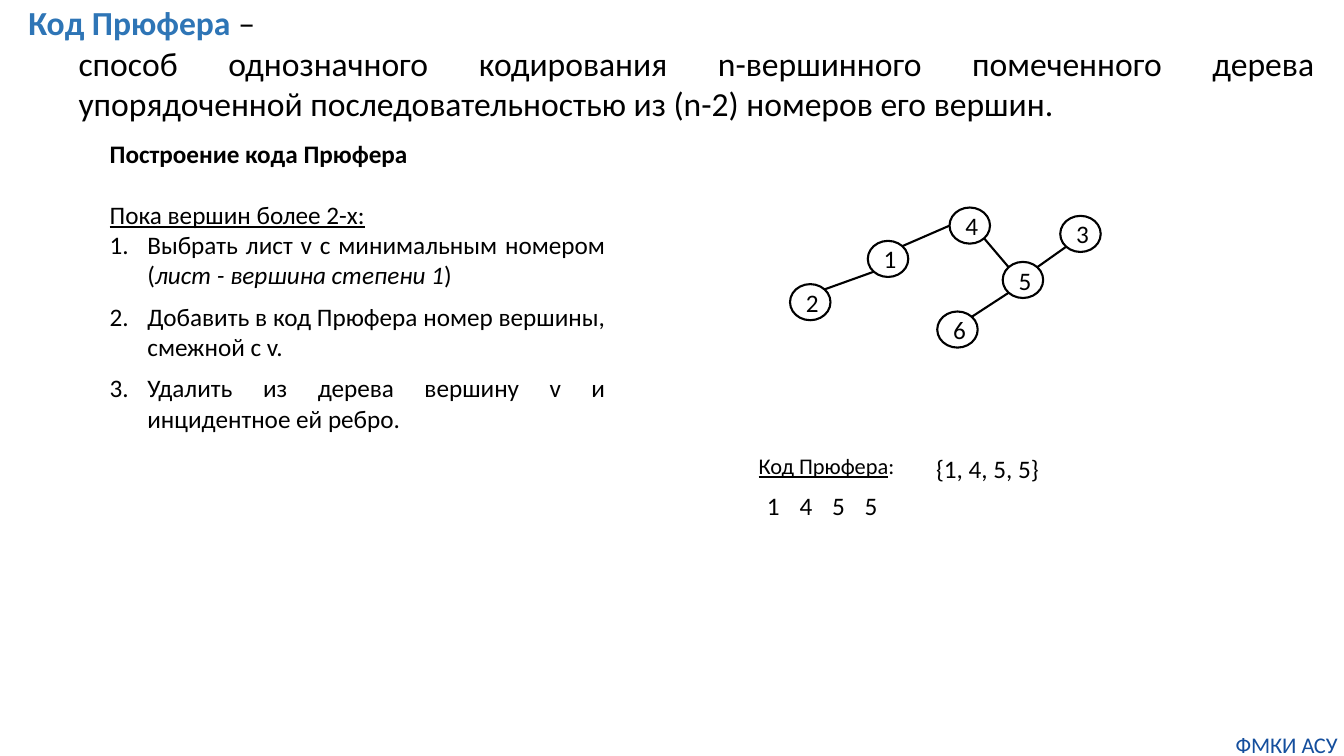
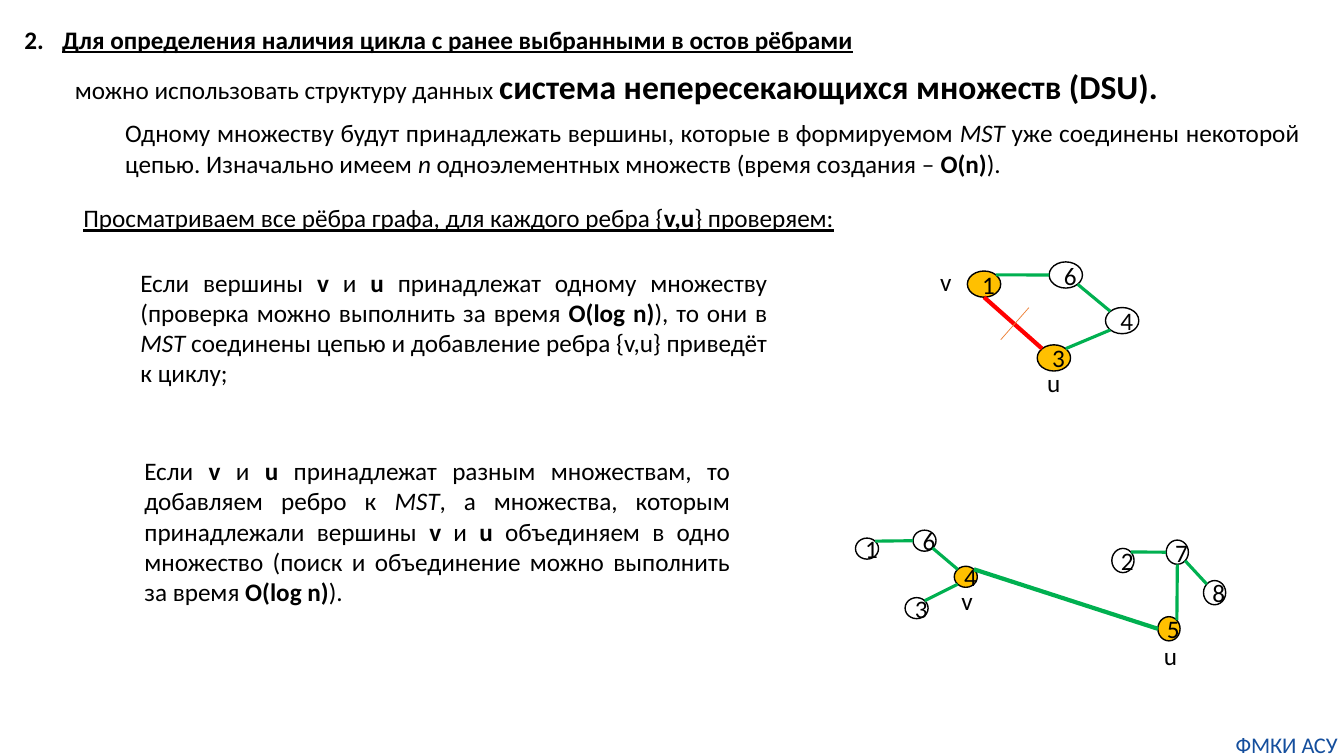
from lxml.etree import SubElement
from pptx import Presentation
from pptx.dml.color import RGBColor
from pptx.enum.shapes import MSO_CONNECTOR as Connector, MSO_SHAPE as Shape
from pptx.enum.text import MSO_ANCHOR as Anchor, MSO_AUTO_SIZE as AutoSize, PP_ALIGN as Align
from pptx.oxml.ns import qn
from pptx.util import Cm, Pt

FONT = "Calibri"
BLACK, BLUE, NAVY = "000000", "2E75B6", "144E9D"
GREEN, RED, AMBER, ORANGE = "00B050", "FF0000", "FFC000", "ED7D31"
HANGING = 0.95
STYLES = {"b": "bold", "i": "italic", "u": "underline"}
DIRECTIONS = {
    "w": (-1, 0), "s": (0, 1),
    "nw": (-0.71, -0.71), "ne": (0.71, -0.71),
    "sw": (-0.71, 0.71), "se": (0.71, 0.71),
}


def colour(value):
    return RGBColor.from_string(value)


def set_attributes(target, values):
    for name, value in values.items():
        setattr(target, name, value)


def add_runs(paragraph, runs, size, color):
    for text, style, *changes in runs:
        run = paragraph.add_run()
        run.text = text
        values = {"name": FONT, "size": Pt(size)}
        values.update({name: key in style for key, name in STYLES.items()})
        if changes:
            values.update(changes[0])
        set_attributes(run.font, values)
        run.font.color.rgb = colour(color)


def format_paragraph(paragraph, align, after, left, number):
    set_attributes(paragraph, {
        "alignment": align, "space_before": Pt(0), "space_after": Pt(after), "line_spacing": 1.0,
    })
    properties = paragraph._p.get_or_add_pPr()
    properties.set("marL", str(Cm(HANGING if number else left)))
    properties.set("indent", str(Cm(-HANGING if number else 0)))
    if number:
        bullet = SubElement(properties, qn("a:buAutoNum"), type="arabicPeriod")
        if number > 1:
            bullet.set("startAt", str(number))
    else:
        SubElement(properties, qn("a:buNone"))


def write(shape, paragraphs, size=18, color=BLACK, align=Align.JUSTIFY):
    frame = shape.text_frame
    set_attributes(frame, {
        "word_wrap": True, "auto_size": AutoSize.NONE, "vertical_anchor": Anchor.TOP,
    })
    for index, (runs, layout) in enumerate(paragraphs):
        paragraph = frame.add_paragraph() if index else frame.paragraphs[0]
        format_paragraph(paragraph, layout.get("align", align), layout.get("after", 0),
                         layout.get("left", 0), layout.get("number", 0))
        add_runs(paragraph, runs, size, color)


def place(shape, box):
    set_attributes(shape, dict(zip(("left", "top", "width", "height"), map(Cm, box))))
    return shape


def add_text(slide, box, runs, size=18, color=BLACK, align=Align.LEFT, **layout):
    shape = slide.shapes.add_textbox(*map(Cm, box))
    write(shape, [(runs, layout)], size, color, align)
    return shape


def add_footer(slide):
    footer = add_text(slide, (30.99, 18.42, 2.87, 0.69), [("ФМКИ АСУ", "")], 16, NAVY, Align.CENTER)
    sides = ("margin_left", "margin_top", "margin_right", "margin_bottom")
    set_attributes(footer.text_frame, dict.fromkeys(sides, 0))


def add_line(slide, start, end, color, width):
    line = slide.shapes.add_connector(Connector.STRAIGHT, *start, *end)
    line.line.color.rgb = colour(color)
    line.line.width = Pt(width)
    SubElement(line._element.spPr, qn("a:effectLst"))


def add_node(slide, box, label, width, fill):
    node = slide.shapes.add_shape(Shape.OVAL, *map(Cm, box))
    node.shadow.inherit = False
    if fill:
        node.fill.solid()
        node.fill.fore_color.rgb = colour(fill)
    else:
        node.fill.background()
    node.line.color.rgb = colour(BLACK)
    node.line.width = Pt(width)
    paragraph = node.text_frame.paragraphs[0]
    paragraph.alignment = Align.CENTER
    add_runs(paragraph, [(label, "")], 18, BLACK)
    return node


def rim_point(node, direction):
    across, down = DIRECTIONS[direction]
    return (int(node.left + node.width * (1 + across) / 2),
            int(node.top + node.height * (1 + down) / 2))


def add_edge(slide, first, first_side, second, second_side, color, width):
    add_line(slide, rim_point(first, first_side), rim_point(second, second_side), color, width)


def add_graph(slide, size, positions, edges, marked="", outline=1, color=GREEN, width=2.25):
    nodes = {
        label: add_node(slide, (*position, *size), label, outline, AMBER if label in marked else None)
        for label, position in positions.items()
    }
    for first, first_side, second, second_side in edges:
        add_edge(slide, nodes[first], first_side, nodes[second], second_side, color, width)
    return nodes


def start_slide(presentation, title_box, title, body_box, body):
    slide = presentation.slides.add_slide(presentation.slide_layouts[1])
    write(place(slide.shapes.title, title_box), [title])
    write(place(slide.placeholders[1], body_box), body)
    add_footer(slide)
    return slide


def build_prufer_slide(presentation):
    large = {"size": Pt(24)}
    step = {"number": 1, "after": 8}
    slide = start_slide(
        presentation,
        (0.46, -0.08, 32.92, 1.1),
        ([("Код Прюфера ", "b", large), ("–", "", large)], {}),
        (2.51, 3.35, 13, 7.75),
        [
            ([("Построение кода Прюфера", "b")], {"align": Align.LEFT, "after": 22}),
            ([("Пока вершин более 2-х:", "u")], {}),
            ([("Выбрать лист v с минимальным номером (", ""),
              ("лист - вершина степени 1", "i"), (")", "")], step),
            ([("Добавить в код Прюфера номер вершины, смежной с v.", "")], step),
            ([("Удалить из дерева вершину v и инцидентное ей ребро.", "")], step),
        ],
    )
    slide.shapes.title.text_frame.paragraphs[0].runs[0].font.color.rgb = colour(BLUE)
    add_text(slide, (1.73, 0.95, 31.65, 2.3), [
        ("способ однозначного кодирования n-вершинного помеченного дерева "
         "упорядоченной последовательностью из (n-2) номеров его вершин.", ""),
    ], 24, align=Align.JUSTIFY)
    add_graph(
        slide, (1.02, 0.91),
        {"4": (23.93, 5.23), "5": (25.27, 6.6), "3": (26.72, 5.44),
         "6": (23.62, 7.85), "2": (19.91, 7.16), "1": (21.87, 6.07)},
        [("1", "sw", "2", "ne"), ("4", "se", "5", "nw"), ("5", "sw", "6", "ne"),
         ("5", "ne", "3", "sw"), ("1", "ne", "4", "w")],
        outline=1.5, color=BLACK, width=1.5,
    )
    add_text(slide, (18.87, 11.28, 4.3, 0.94), [("Код Прюфера", "u"), (":", "")], 16)
    for index, digit in enumerate("1455"):
        add_text(slide, (19.08 + 0.82 * index, 12.22, 0.84, 1.02), [(digit, "")])
    add_text(slide, (23.34, 11.3, 3.15, 1.02), [("{1, 4, 5, 5}", "")])


def build_cycle_slide(presentation):
    slide = start_slide(
        presentation,
        (0.36, 0.48, 32.64, 1.06),
        ([("Для определения наличия цикла с ранее выбранными в остов рёбрами", "bu")], {"number": 2}),
        (0.36, 1.54, 32.64, 3.1),
        [
            ([("можно использовать структуру данных ", ""),
              ("система непересекающихся множеств (DSU).", "b", {"size": Pt(24)})],
             {"left": 1.27, "after": 8}),
            ([("Одному множеству будут принадлежать вершины, которые в формируемом ", ""),
              ("MST ", "i"), ("уже соединены некоторой цепью. Изначально имеем ", ""), ("n", "i"),
              (" одноэлементных множеств (время создания – ", ""), ("O(n)", "b"), (").", "")],
             {"left": 2.54, "after": 8}),
        ],
    )
    add_text(slide, (1.85, 4.98, 19.69, 1.02), [
        ("Просматриваем все рёбра графа, для каждого ребра {", "u"), ("v,u", "bu"),
        ("} проверяем:", "u"),
    ])
    add_text(slide, (2.34, 6.6, 17.25, 3.33), [
        ("Если вершины ", ""), ("v", "b"), (" и ", ""), ("u ", "b"),
        ("принадлежат одному множеству (проверка можно выполнить за время ", ""),
        ("O(log n)", "b"), ("), то они в ", ""), ("MST ", "i"),
        ("соединены цепью и добавление ребра {v,u} приведёт к циклу;", ""),
    ], align=Align.JUSTIFY, left=HANGING)
    add_text(slide, (2.44, 11.35, 16.21, 4.11), [
        ("Если ", ""), ("v", "b"), (" и ", ""), ("u ", "b"),
        ("принадлежат разным множествам, то добавляем ребро к ", ""), ("MST", "i"),
        (", а множества, которым принадлежали вершины ", ""), ("v", "b"), (" и ", ""), ("u ", "b"),
        ("объединяем в одно множество (поиск и объединение можно выполнить за время ", ""),
        ("O(log n)", "b"), (").", ""),
    ], align=Align.JUSTIFY, left=HANGING)

    chain = [("1", "ne", "6", "w"), ("6", "se", "4", "nw"), ("4", "sw", "3", "ne")]
    cycle = add_graph(
        slide, (0.84, 0.66),
        {"1": (24.38, 6.83), "6": (26.44, 6.6), "4": (27.86, 7.75), "3": (26.14, 8.69)},
        chain, marked="13",
    )
    add_edge(slide, cycle["1"], "s", cycle["3"], "nw", RED, 3)
    add_line(slide, (Cm(25.93), Cm(7.75)), (Cm(25.22), Cm(8.56)), ORANGE, 0.5)

    left_tree = add_graph(
        slide, (0.58, 0.53),
        {"1": (21.56, 13.56), "6": (23.01, 13.36), "4": (24.05, 14.27), "3": (22.81, 15.06)},
        chain, marked="4",
    )
    right_tree = add_graph(
        slide, (0.56, 0.61),
        {"2": (28.02, 13.82), "7": (29.39, 13.61), "8": (30.33, 14.63), "5": (29.18, 15.54)},
        [("2", "ne", "7", "w"), ("7", "se", "8", "nw"), ("7", "s", "5", "ne")], marked="5",
    )
    add_edge(slide, left_tree["4"], "ne", right_tree["5"], "w", GREEN, 3)
    for label, left, top in (("v", 23.44, 6.58), ("u", 26.14, 9.14),
                             ("v", 23.98, 14.63), ("u", 29.08, 16)):
        add_text(slide, (left, top, 0.84, 0.86), [(label, "")])


def main():
    presentation = Presentation()
    set_attributes(presentation, {"slide_width": Cm(33.87), "slide_height": Cm(19.05)})
    build_prufer_slide(presentation)
    build_cycle_slide(presentation)
    presentation.save("out.pptx")


if __name__ == "__main__":
    main()
